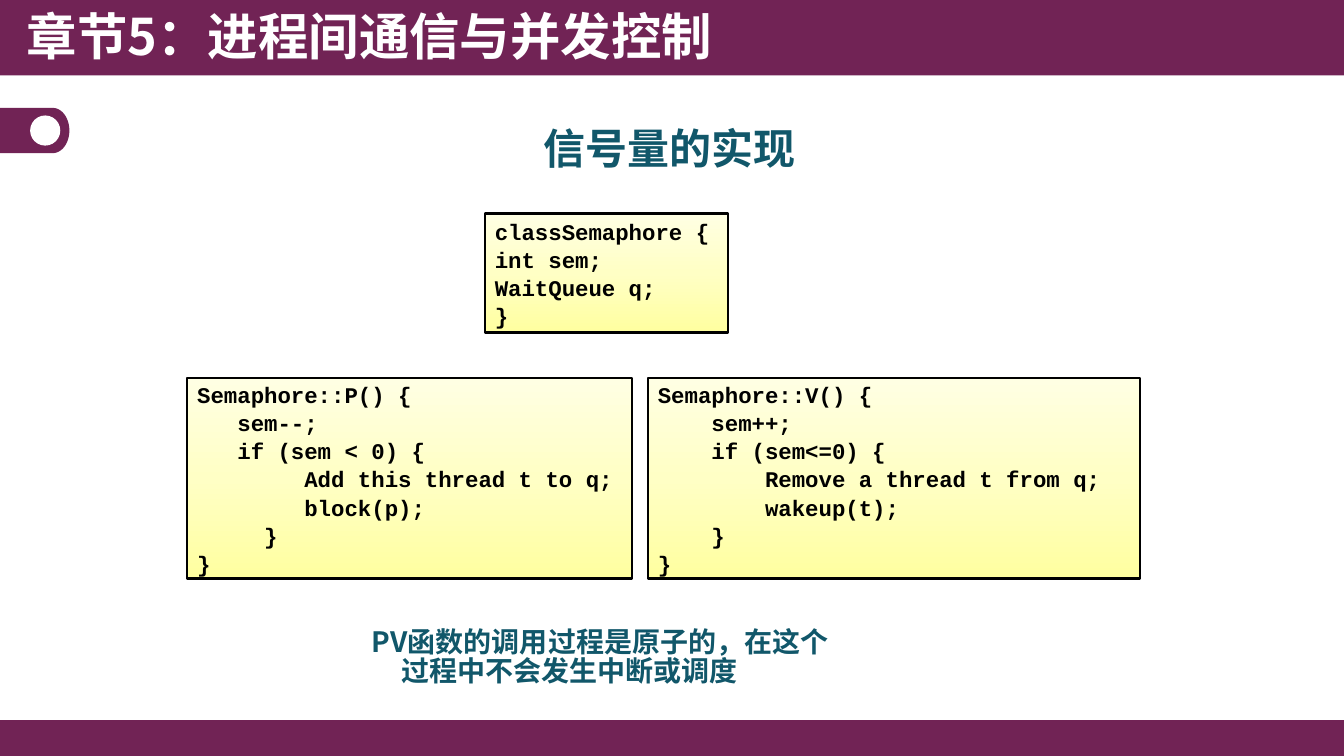
import copy
import math

from pptx import Presentation
from pptx.dml.color import RGBColor
from pptx.enum import shapes, text
from pptx.oxml.ns import qn
from pptx.util import Cm, Pt
from lxml import etree

PLUM, TEAL, WHITE, BLACK = "712355", "11576A", "FFFFFF", "000000"
YELLOWS = ["FFFFA0", "FFFFC5", "FFFFE3"]
SANS, MONO = "Noto Sans CJK SC", "Courier New"
WIDTH, HEIGHT = 33.87, 19.05

CLASS_CODE = """classSemaphore {
int sem;
WaitQueue q;
}"""
P_CODE = """Semaphore::P() {
   sem--;
   if (sem < 0) {
        Add this thread t to q;
        block(p);
     }
}"""
V_CODE = """Semaphore::V() {
    sem++;
    if (sem<=0) {
        Remove a thread t from q;
        wakeup(t);
    }
}"""


def rgb(colour):
    return RGBColor.from_string(colour)


def write(shape, lines, size, colour, face=SANS, anchor=text.MSO_ANCHOR.MIDDLE, **layout):
    """Fill a shape with bold lines; layout holds paragraph settings."""
    frame = shape.text_frame
    frame.word_wrap = True
    frame.vertical_anchor = anchor
    for number, line in enumerate(lines):
        paragraph = frame.add_paragraph() if number else frame.paragraphs[0]
        for key, value in {"alignment": text.PP_ALIGN.LEFT, **layout}.items():
            setattr(paragraph, key, value)
        run = paragraph.add_run()
        run.text = line
        for key, value in {"size": Pt(size), "bold": True, "name": face}.items():
            setattr(run.font, key, value)
        run.font.color.rgb = rgb(colour)
        east_asian = etree.SubElement(run.font._element, qn("a:ea"))
        east_asian.set("typeface", face)
    return frame


def paint(shape, colour):
    shape.shadow.inherit = False
    shape.fill.solid()
    shape.fill.fore_color.rgb = rgb(colour)
    shape.line.fill.background()


def add_text(slide, box, line, size, colour, **settings):
    label = slide.shapes.add_textbox(*map(Cm, box))
    return write(label, [line], size, colour, **settings)


def add_bar(slide, box):
    bar = slide.shapes.add_shape(shapes.MSO_SHAPE.RECTANGLE, *map(Cm, box))
    paint(bar, PLUM)


def add_header(slide, box):
    left, top, _, height = box
    add_bar(slide, box)
    add_text(slide, (left + 0.43, top, 18.9, height + 0.06),
             "章节5：进程间通信与并发控制", 36, WHITE, line_spacing=0.9)


def add_tab(slide, box):
    """Side tab with a rounded right end and a round hole."""
    left, top, width, height = box
    radius, bulge = height / 2, 0.42
    shoulder = left + width - bulge
    angles = [math.radians(degrees) for degrees in range(-90, 91, 6)]
    end = [(Cm(shoulder + bulge * math.cos(a)), Cm(top + radius + radius * math.sin(a)))
           for a in angles]
    outline = slide.shapes.build_freeform(Cm(left), Cm(top))
    outline.add_line_segments(end + [(Cm(left), Cm(top + height))], close=True)
    paint(outline.convert_to_shape(), PLUM)
    hole = 0.76
    circle = slide.shapes.add_shape(
        shapes.MSO_SHAPE.OVAL, Cm(left + hole), Cm(top + (height - hole) / 2),
        Cm(hole), Cm(hole))
    paint(circle, WHITE)


def add_code(slide, box, code):
    panel = slide.shapes.add_shape(shapes.MSO_SHAPE.RECTANGLE, *map(Cm, box))
    panel.shadow.inherit = False
    panel.fill.gradient()
    panel.fill.gradient_angle = 90
    stop_list = panel._element.spPr.find(qn("a:gradFill")).find(qn("a:gsLst"))
    stop_list.append(copy.deepcopy(stop_list[-1]))
    for stop, position, colour in zip(panel.fill.gradient_stops, (0, 0.5, 1), YELLOWS):
        stop.position = position
        stop.color.rgb = rgb(colour)
    panel.line.color.rgb = rgb(BLACK)
    panel.line.width = Pt(1.5)
    write(panel, code.split("\n"), 16, BLACK, face=MONO, line_spacing=1.05)


def add_note(slide, box):
    frame = add_text(slide, box, "PV函数的调用过程是原子的，在这个过程中不会发生中断或调度",
                     20, TEAL, anchor=text.MSO_ANCHOR.TOP, line_spacing=0.85)
    properties = frame.paragraphs[0]._p.get_or_add_pPr()
    properties.set("marL", str(Cm(0.75)))
    properties.set("indent", str(-Cm(0.75)))


def main():
    deck = Presentation()
    deck.slide_width, deck.slide_height = Cm(WIDTH), Cm(HEIGHT)
    slide = deck.slides.add_slide(deck.slide_layouts[6])
    add_bar(slide, (0, HEIGHT - 0.9, WIDTH, 0.9))
    add_header(slide, (0, 0, WIDTH, 1.9))
    add_tab(slide, (0, 2.72, 1.75, 1.14))
    add_text(slide, (5.44, 3.02, 22.86, 1.42), "信号量的实现", 30, TEAL,
             alignment=text.PP_ALIGN.CENTER)
    add_code(slide, (4.72, 9.53, 11.2, 5.05), P_CODE)
    add_code(slide, (16.33, 9.53, 12.4, 5.05), V_CODE)
    add_code(slide, (12.22, 5.38, 6.12, 3), CLASS_CODE)
    add_note(slide, (9.12, 15.75, 12.22, 1))
    deck.save("out.pptx")


if __name__ == "__main__":
    main()
